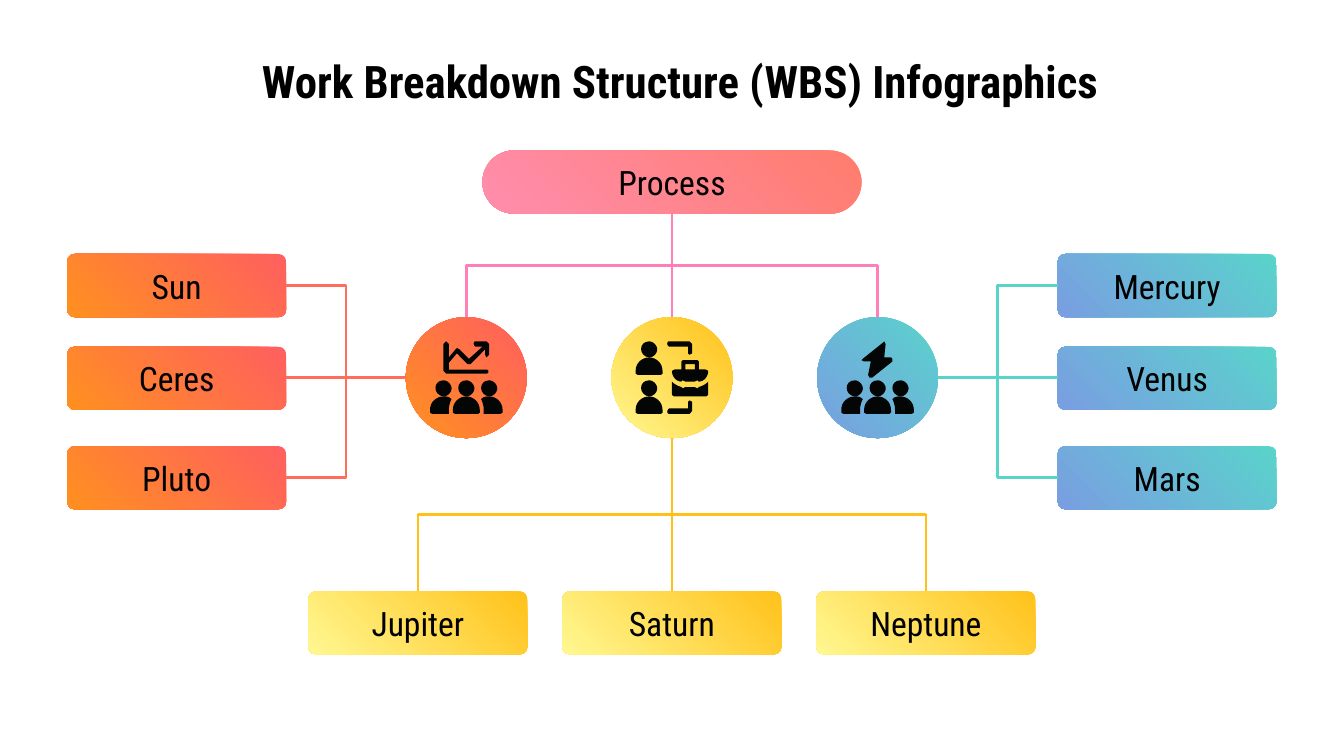
from pptx import Presentation
from pptx.dml.color import RGBColor
from pptx.enum.shapes import MSO_CONNECTOR as Link, MSO_SHAPE as Shape
from pptx.enum.text import MSO_ANCHOR as Anchor, PP_ALIGN as Align
from pptx.oxml.ns import qn
from pptx.util import Inches, Pt
from lxml.etree import SubElement

RED, BLUE = ("FF5F5F", "FF9020"), ("5AD3CB", "799EE2")
YELLOW, PINK = ("FFC119", "FFF892"), ("FF7C6D", "FF8DAD")
RED_LINE, BLUE_LINE, YELLOW_LINE, PINK_LINE = "FF6D5D", "5AD3CB", "FFC119", "FF80B9"
INK = "040606"
BOX_W, BOX_H, CIRCLE = 1.63, 0.47, 0.9
CENTER, BRANCH, CIRCLE_Y = 5, 1.53, 2.81
SIDE_ROWS = (1.89, 2.58, 3.32)
BOTTOM_Y, BOTTOM_STEP = 4.4, 1.89
PROCESS_Y, PERSON_STEP = 1.12, 0.17

HEAD = [(0, 0), (-.08, 0, -.08, .11, 0, .12), (.03, .12, .06, .09, .06, .06), (.06, .03, .03, 0, 0, 0)]
BODY = [(0, .12), (-.05, .12, -.1, .16, -.1, .22), (-.1, .24), (-.1, .24, -.09, .25, -.08, .25),
        (.09, .25), (.09, .25, .1, .24, .1, .24), (.1, .22), (.1, .16, .05, .12, 0, .12)]
SIDE_BODY = [(0, .12), (-.05, .12, -.1, .16, -.1, .22), (-.1, .24), (-.1, .24, -.09, .25, -.08, .25),
             (.04, .25), (.04, .22), (.04, .19, .05, .16, .06, .14), (.04, .12, .02, .12, 0, .12)]
BOLT = [(.05, -.27), (.04, -.26), (-.11, -.14), (-.12, -.13), (-.1, -.12), (-.05, -.12), (-.07, -.02),
        (-.06, 0), (-.04, 0), (.11, -.12), (.11, -.14), (.1, -.15), (.05, -.15), (.06, -.25)]
TREND = [(.07, -.27), (.05, -.27, .05, -.24, .07, -.23), (.12, -.23), (.02, -.14), (-.05, -.21), (-.07, -.22),
         (-.08, -.21), (-.13, -.15), (-.13, -.25), (-.15, -.27), (-.17, -.25), (-.17, -.05), (-.15, -.03),
         (.15, -.03), (.17, -.03, .17, -.06, .15, -.06), (-.13, -.06), (-.13, -.11), (-.07, -.18),
         (.01, -.1), (.03, -.1), (.14, -.21), (.14, -.17), (.15, -.15), (.17, -.17), (.17, -.25), (.15, -.27)]
HOOK = [(-.02, -.27), (-.04, -.27, -.04, -.24, -.02, -.23), (.12, -.23), (.12, -.18),
        (.13, -.17), (.15, -.18), (.15, -.25), (.13, -.27)]
CASE = [(0, .03), (0, .12), (0, .13, .01, .14, .02, .14), (.25, .14), (.26, .14, .27, .13, .27, .12),
        (.27, .03), (.25, .05, .23, .06, .2, .07), (.19, .08), (.17, .07), (.1, .07), (.08, .08),
        (.07, .07), (.04, .06, .02, .05, 0, .03)]
LID = [(.08, -.13), (.07, -.12), (.07, -.06), (.02, -.06), (0, -.05), (0, -.01, .03, .03, .07, .03),
       (.08, .02), (.1, .03), (.17, .03), (.19, .02), (.2, .03), (.24, .03, .27, -.01, .27, -.05),
       (.25, -.06), (.2, -.06), (.2, -.12), (.19, -.13)]
LID_HOLE = [(.17, -.1), (.17, -.06), (.1, -.06), (.1, -.1)]


def rgb(value):
    return RGBColor.from_string(value)


def write(frame, text, size=18, bold=False, color="000000", anchor=Anchor.MIDDLE):
    frame.word_wrap = True
    frame.vertical_anchor = anchor
    frame.margin_left = frame.margin_right = frame.margin_top = frame.margin_bottom = Inches(0.1)
    para = frame.paragraphs[0]
    para.alignment = Align.CENTER
    span = para.add_run()
    span.text = text
    span.font.name, span.font.size, span.font.bold = "Roboto Condensed", Pt(size), bold
    span.font.color.rgb = rgb(color)


def trace(steps, x, y, flip=1):
    points = []
    for step in steps:
        pairs = list(zip(step[::2], step[1::2]))
        if len(pairs) == 1:
            points += pairs
        else:
            ends = [points[-1], *pairs]
            for t in (k / 8 for k in range(1, 9)):
                weights = ((1 - t) ** 3, 3 * t * (1 - t) ** 2, 3 * t * t * (1 - t), t ** 3)
                points.append(tuple(sum(w * p[axis] for w, p in zip(weights, ends)) for axis in (0, 1)))
    return [(Inches(x + flip * px), Inches(y + py)) for px, py in points]


class Diagram:
    """Draws the styled parts of the breakdown on one page."""

    def __init__(self, page):
        self.page = page

    def title(self, text, x, y, w, h):
        box = self.page.shapes.add_textbox(Inches(x), Inches(y), Inches(w), Inches(h))
        write(box.text_frame, text, size=24, bold=True, anchor=Anchor.TOP)

    def node(self, kind, x, y, w, h, colors, text=None, corner=None):
        shape = self.page.shapes.add_shape(kind, Inches(x), Inches(y), Inches(w), Inches(h))
        shape.shadow.inherit = False
        shape.line.fill.background()
        shape.fill.gradient()
        shape.fill.gradient_angle = 225
        for stop, color in zip(shape.fill.gradient_stops, colors):
            stop.color.rgb = rgb(color)
        if corner is not None:
            shape.adjustments[0] = corner
        if text:
            write(shape.text_frame, text)

    def box(self, text, x, y, colors):
        self.node(Shape.ROUNDED_RECTANGLE, x, y, BOX_W, BOX_H, colors, text, 0.12)

    def outline(self, steps, x, y, flip=1, hole=None):
        start, *rest = trace(steps, x, y, flip)
        builder = self.page.shapes.build_freeform(*start, scale=1.0)
        builder.add_line_segments(rest)
        if hole:
            start, *rest = trace(hole, x, y, flip)
            builder.move_to(*start)
            builder.add_line_segments(rest)
        shape = builder.convert_to_shape()
        shape.shadow.inherit = False
        shape.fill.solid()
        shape.fill.fore_color.rgb = rgb(INK)
        shape.line.fill.background()
        return shape

    def person(self, x, y, body=BODY, flip=1):
        return [self.outline(HEAD, x, y), self.outline(body, x, y, flip)]

    def team_icon(self, symbol, x):
        parts = [self.outline(symbol, x, CIRCLE_Y)]
        y = CIRCLE_Y + 0.02
        for side in (-1, 1):
            parts += self.person(x + side * PERSON_STEP, y, SIDE_BODY, -side)
        parts += self.person(x, y)
        self.page.shapes.add_group_shape(parts)

    def work_icon(self, x):
        low_hook = [tuple(-v if k % 2 else v for k, v in enumerate(step)) for step in HOOK]
        parts = [self.outline(steps, x, CIRCLE_Y) for steps in (HOOK, low_hook, CASE)]
        parts.append(self.outline(LID, x, CIRCLE_Y, hole=LID_HOLE))
        for y in (CIRCLE_Y + 0.02, CIRCLE_Y - 0.27):
            parts += self.person(x - PERSON_STEP, y)
        self.page.shapes.add_group_shape(parts)

    def line(self, start, end, color, kind=Link.STRAIGHT):
        link = self.page.shapes.add_connector(kind, *(Inches(v) for v in (*start, *end)))
        link.line.color.rgb = rgb(color)
        link.line.width = Pt(1.5)
        SubElement(link._element.spPr, qn("a:effectLst"))
        return link

    def elbow(self, start, end, color):
        self.line(start, end, color, Link.ELBOW)

    def drop(self, start, end, color):
        (x1, y1), (x2, y2) = start, end
        side = 1 if x2 > x1 else -1
        mid_x, mid_y = (x1 + x2) / 2, (y1 + y2) / 2
        half_w, half_h = side * (y2 - y1) / 2, abs(x2 - x1) / 2
        link = self.line((mid_x + half_w, mid_y - half_h), (mid_x - half_w, mid_y + half_h), color, Link.ELBOW)
        link.rotation = 270 if side > 0 else 90


def main():
    deck = Presentation()
    deck.slide_width = Inches(10)
    deck.slide_height = deck.slide_width * 9 // 16
    diagram = Diagram(deck.slides.add_slide(deck.slide_layouts[6]))
    diagram.title("Work Breakdown Structure (WBS) Infographics", 0.4, 0.3, 9.32, 0.63)

    radius = CIRCLE / 2
    left, right = CENTER - BRANCH, CENTER + BRANCH
    for x, colors in ((left, RED), (right, BLUE), (CENTER, YELLOW)):
        diagram.node(Shape.OVAL, x - radius, CIRCLE_Y - radius, CIRCLE, CIRCLE, colors)
    diagram.node(Shape.ROUNDED_RECTANGLE, CENTER - 1.41, PROCESS_Y, 2.82, BOX_H, PINK, "Process", 0.5)
    for x, colors, names in ((0.5, RED, ("Sun", "Ceres", "Pluto")), (7.87, BLUE, ("Mercury", "Venus", "Mars"))):
        for name, y in zip(names, SIDE_ROWS):
            diagram.box(name, x, y, colors)
    for name, column in (("Jupiter", -1), ("Saturn", 0), ("Neptune", 1)):
        diagram.box(name, CENTER + column * BOTTOM_STEP - BOX_W / 2, BOTTOM_Y, YELLOW)

    diagram.team_icon(BOLT, right)
    diagram.work_icon(CENTER)
    diagram.team_icon(TREND, left)

    for start_x, end_x, color in ((left - radius, 2.13, RED_LINE), (right + radius, 7.87, BLUE_LINE)):
        for y in (SIDE_ROWS[0], SIDE_ROWS[2]):
            diagram.elbow((start_x, CIRCLE_Y), (end_x, y + BOX_H / 2), color)
        diagram.line((start_x, CIRCLE_Y), (end_x, CIRCLE_Y), color)
    for top, bottom, step, color in ((PROCESS_Y + BOX_H, CIRCLE_Y - radius, BRANCH, PINK_LINE),
                                     (CIRCLE_Y + radius, BOTTOM_Y, BOTTOM_STEP, YELLOW_LINE)):
        for side in (-1, 1):
            diagram.drop((CENTER, top), (CENTER + side * step, bottom), color)
        diagram.line((CENTER, top), (CENTER, bottom), color)
    deck.save("out.pptx")


if __name__ == "__main__":
    main()
